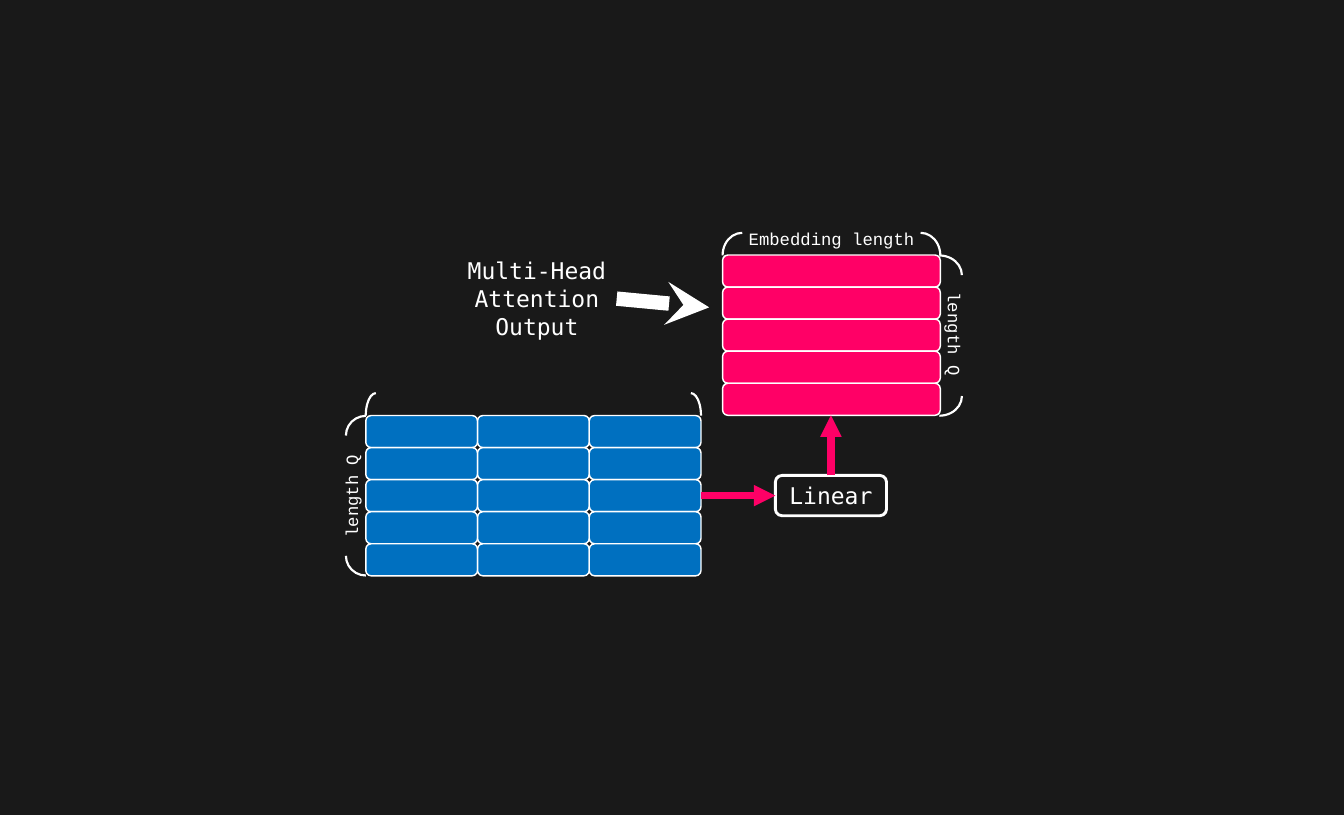
from dataclasses import dataclass

from lxml.etree import SubElement
from pptx import Presentation
from pptx.dml.color import RGBColor as RGB
from pptx.enum.shapes import MSO_CONNECTOR as CONN, MSO_SHAPE as SHAPE
from pptx.enum.text import MSO_ANCHOR as ANCHOR, PP_ALIGN as ALIGN
from pptx.oxml.ns import qn
from pptx.util import Cm, Pt


@dataclass(frozen=True)
class Theme:
    background: RGB = RGB(0x19, 0x19, 0x19)
    white: RGB = RGB(0xFF, 0xFF, 0xFF)
    blue: RGB = RGB(0x00, 0x70, 0xC0)
    pink: RGB = RGB(0xFF, 0x00, 0x66)
    block_font: str = "DejaVu Sans Mono"
    size_font: str = "Courier New"
    block_size: Pt = Pt(32)
    size_size: Pt = Pt(24)


THEME = Theme()
BLOCK_TEXT = {"name": THEME.block_font, "size": THEME.block_size}
SIZE_TEXT = {"name": THEME.size_font, "size": THEME.size_size}

# Both matrices share the row count and height; all lengths in cm
ROWS, MATRIX_H = 5, 7.87
HEADS_X, HEADS_Y, HEADS_W = 17.96, 20.40, 16.46
OUT_X, OUT_Y, OUT_W = 35.48, 12.52, 10.69
LINEAR_X, LINEAR_Y, LINEAR_W, LINEAR_H = 38.07, 23.34, 5.46, 1.98


def add_box(shapes, x, y, w, h, fill=None, line=0, kind=SHAPE.ROUNDED_RECTANGLE):
    s = shapes.add_shape(kind, Cm(x), Cm(y), Cm(w), Cm(h))
    s.shadow.inherit = False
    if fill is None:
        s.fill.background()
    else:
        s.fill.solid()
        s.fill.fore_color.rgb = fill
    if line:
        s.line.color.rgb = THEME.white
        s.line.width = Pt(line)
    else:
        s.line.fill.background()
    return s


def add_label(shapes, text, x, y, w, h, style, rotation=0, line=0):
    s = add_box(shapes, x, y, w, h, line=line)
    s.rotation = rotation
    tf = s.text_frame
    tf.word_wrap = True
    tf.vertical_anchor = ANCHOR.MIDDLE
    p = tf.paragraphs[0]
    p.alignment = ALIGN.CENTER
    r = p.add_run()
    r.text = text
    r.font.color.rgb = THEME.white
    for name, value in style.items():
        setattr(r.font, name, value)


def add_arc(shapes, x, y, w, h, rotation=0, flip=False):
    s = add_box(shapes, x, y, w, h, line=3, kind=SHAPE.ARC)
    s.rotation = rotation
    if flip:
        s.element.spPr.find(qn("a:xfrm")).set("flipH", "1")


def add_matrix(shapes, x, y, w, cols, fill):
    cell_w, cell_h = w / cols, MATRIX_H / ROWS
    for col in range(cols):
        for row in range(ROWS):
            add_box(shapes, x + col * cell_w, y + row * cell_h,
                    cell_w, cell_h, fill, line=2)


def add_arrow(shapes, start, end, color, width, head="triangle"):
    s = shapes.add_connector(CONN.STRAIGHT, *map(Cm, start + end))
    s.line.color.rgb = color
    s.line.width = Pt(width)
    SubElement(s.line._get_or_add_ln(), qn("a:tailEnd"), type=head)
    SubElement(s.element.spPr, qn("a:effectLst"))


def add_heads(shapes):
    """Concatenated attention heads with their brackets."""
    add_matrix(shapes, HEADS_X, HEADS_Y, HEADS_W, 3, THEME.blue)
    add_arc(shapes, HEADS_X, 19.30, 0.99, 2.21, flip=True)
    add_arc(shapes, HEADS_X + HEADS_W - 0.99, 19.30, 0.99, 2.21)
    add_arc(shapes, 17.00, HEADS_Y, 1.93, 1.96, rotation=270)
    add_arc(shapes, 17.00, HEADS_Y + MATRIX_H - 1.96, 1.93, 1.96,
            rotation=270, flip=True)
    add_label(shapes, "length Q", 13.72, 23.65, 7.04, 1.40, SIZE_TEXT, 270)


def add_output(shapes):
    """Attention output with its brackets."""
    add_matrix(shapes, OUT_X, OUT_Y, OUT_W, 1, THEME.pink)
    add_arc(shapes, OUT_X, 11.43, 1.93, 2.21, flip=True)
    add_arc(shapes, OUT_X + OUT_W - 1.93, 11.43, 1.93, 2.21)
    add_arc(shapes, 45.16, 12.40, 1.93, 2.21, rotation=90, flip=True)
    add_arc(shapes, 45.16, 18.34, 1.93, 2.21, rotation=90)
    add_label(shapes, "Embedding length", OUT_X, 10.95, OUT_W, 1.57, SIZE_TEXT)
    add_label(shapes, "length Q", 43.36, 15.70, 7.04, 1.40, SIZE_TEXT, 90)


def main():
    prs = Presentation()
    prs.slide_width, prs.slide_height = Cm(65.99), Cm(40.01)
    slide = prs.slides.add_slide(prs.slide_layouts[6])
    slide.background.fill.solid()
    slide.background.fill.fore_color.rgb = THEME.background
    shapes = slide.shapes

    # Matrices
    add_heads(shapes.add_group_shape().shapes)
    add_output(shapes)

    # Linear layer between them
    add_label(shapes, "Linear", LINEAR_X, LINEAR_Y, LINEAR_W, LINEAR_H,
              BLOCK_TEXT, line=4)
    mid_x, mid_y = LINEAR_X + LINEAR_W / 2, LINEAR_Y + LINEAR_H / 2
    add_arrow(shapes, (HEADS_X + HEADS_W, mid_y), (LINEAR_X, mid_y), THEME.pink, 10)
    add_arrow(shapes, (mid_x, LINEAR_Y), (mid_x, OUT_Y + MATRIX_H), THEME.pink, 10)

    # Callout to the output
    add_label(shapes, "Multi-Head Attention Output", 22.43, 12.29, 7.87, 4.72,
              BLOCK_TEXT)
    add_arrow(shapes, (30.28, 14.66), (34.82, 15.09), THEME.white, 20, "stealth")

    prs.save("out.pptx")


if __name__ == "__main__":
    main()
